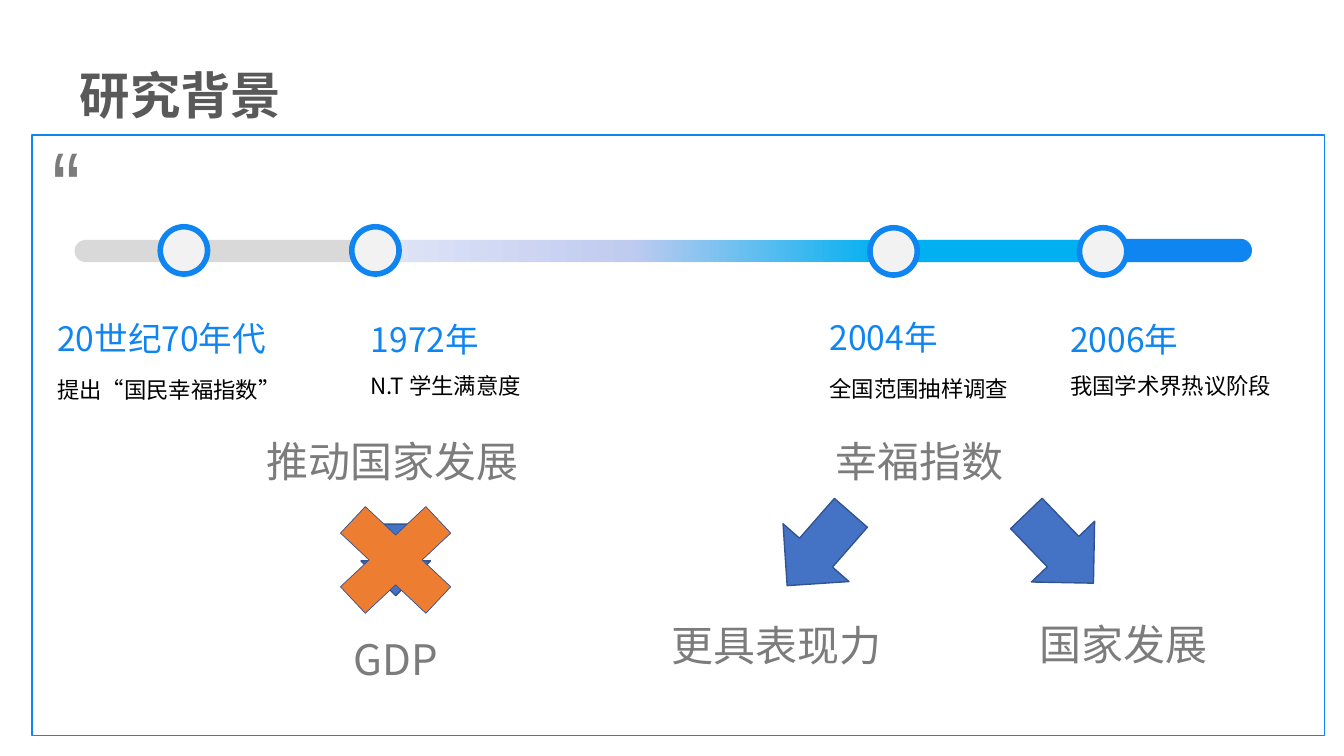
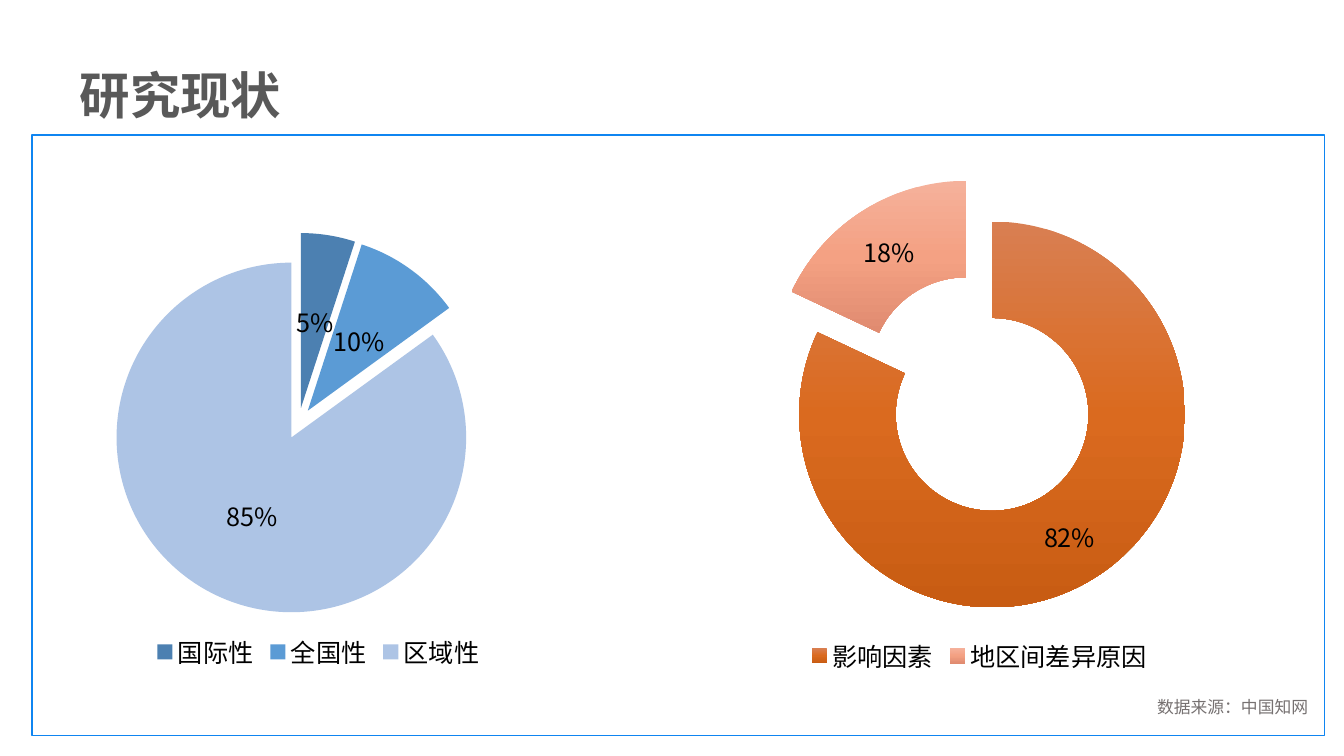
"""Build two slides on research background and research status."""
from copy import deepcopy
from dataclasses import dataclass
from typing import Any, NamedTuple

from lxml.etree import SubElement
from pptx import Presentation
from pptx.chart.data import CategoryChartData
from pptx.dml.color import RGBColor
from pptx.enum.chart import XL_CHART_TYPE as Chart
from pptx.enum.chart import XL_LABEL_POSITION as LabelPosition
from pptx.enum.chart import XL_LEGEND_POSITION as LegendPosition
from pptx.enum.shapes import MSO_SHAPE as Preset
from pptx.enum.text import MSO_ANCHOR as Anchor
from pptx.enum.text import MSO_AUTO_SIZE as AutoSize
from pptx.enum.text import PP_ALIGN as Align
from pptx.oxml.ns import qn
from pptx.util import Pt


@dataclass(frozen=True)
class Theme:
    font: str = "Noto Sans CJK SC"
    quote_font: str = "Arial Narrow"
    accent: str = "0F85F1"
    title: str = "595959"
    muted: str = "7C7C7C"
    source: str = "767171"
    ink: str = "000000"
    track: str = "D9D9D9"
    cyan: str = "00B0F0"
    dot: str = "F2F2F2"
    arrow: str = "4472C4"
    cross: str = "ED7D31"
    edge: str = "325491"
    fade: tuple = ("E0E5F7", "C0CBF0", "00B0F0")
    blues: tuple = ("4C80B1", "5B9BD5", "ADC4E5")
    oranges: tuple = (("D97F52", "DA6A1F", "C85C13"),
                      ("F5B19B", "F4A183", "E08B70"))
    quote_size: float = 74
    title_size: float = 36
    idea_size: float = 30
    year_size: float = 24
    chart_size: float = 18
    detail_size: float = 16
    source_size: float = 12


THEME = Theme()


class Area(NamedTuple):
    left: float
    top: float
    width: float
    height: float


class Span(NamedTuple):
    text: str
    size: float
    color: str
    font: str = THEME.font
    bold: bool = False
    line_spacing: float = 1.0
    space_before: float = 0


class Bar(NamedTuple):
    area: Area
    fill: Any


class Milestone(NamedTuple):
    left: float
    top: float
    width: float
    year: str
    detail: str
    gap: float = 0


class Idea(NamedTuple):
    text: str
    left: float
    top: float
    width: float


class Figure(NamedTuple):
    preset: Any
    area: Area
    fill: str
    weight: float
    rotation: float = 0


class Round(NamedTuple):
    kind: Any
    area: Area
    shares: dict
    fills: tuple
    explosion: int
    labels: dict


FRAME = Area(23, 96.5, 923, 429)
TITLE = Area(53.3, 22.3, 364.3, 61.9)
QUOTE = Area(33.8, 85, 93.6, 93.6)
SOURCE = Area(819.4, 493.9, 123.8, 21.6)
DOT = 33.8
DOTS = ((114.5, 162), (251.3, 162), (621.4, 162.7), (771.1, 162.7))
BARS = (
    Bar(Area(53.3, 171.4, 840.2, 15.8), THEME.track),
    Bar(Area(648, 171.4, 132.5, 15.8), THEME.cyan),
    Bar(Area(268.6, 171.4, 362.2, 15.8), THEME.fade),
    Bar(Area(794.9, 170.6, 99.4, 16.6), THEME.accent),
)
MILESTONES = (
    Milestone(33.8, 208.8, 234.7, "20世纪70年代", "提出“国民幸福指数”", 3.8),
    Milestone(257.8, 209.5, 234.7, "1972年", "N.T 学生满意度"),
    Milestone(757.4, 209.5, 177.1, "2006年", "我国学术界热议阶段"),
    Milestone(585.4, 208.1, 234.7, "2004年", "全国范围抽样调查", 3.8),
)
IDEAS = (
    Idea("推动国家发展", 183.6, 307.4, 198),
    Idea("GDP", 245.5, 448.6, 143.3),
    Idea("幸福指数", 589.7, 307.4, 141.8),
    Idea("更具表现力", 472.3, 439.2, 237.6),
    Idea("国家发展", 735.8, 438.5, 141.8),
)
FIGURES = (
    Figure(Preset.DOWN_ARROW, Area(257.8, 374.4, 49.7, 51.1), THEME.arrow, 1),
    Figure(Preset.MATH_MULTIPLY, Area(223.9, 344.9, 117.4, 110.2), THEME.cross, 0.5),
    Figure(Preset.DOWN_ARROW, Area(553.7, 357.8, 62.6, 69.1), THEME.arrow, 1, 41.2),
    Figure(Preset.DOWN_ARROW, Area(725.8, 357.1, 62.6, 69.1), THEME.arrow, 1, 316.1),
)
SCOPE = Round(
    Chart.PIE, Area(37.4, 160.6, 380.2, 321.8),
    {"国际性": 5, "全国性": 10, "区域性": 85}, THEME.blues, 9,
    {"show_percentage": True, "show_value": False, "position": LabelPosition.CENTER})
TOPIC = Round(
    Chart.DOUGHNUT, Area(468.7, 116.6, 461.5, 368.6),
    {"影响因素": 0.82, "地区间差异原因": 0.18}, THEME.oranges, 25,
    {"show_percentage": False, "show_value": True})
SCOPE_PLOT = {"x": 0.014, "y": 0.018, "w": 0.897, "h": 0.846}


def assign(target: Any, values: dict) -> None:
    """Set each named attribute of the target."""
    for name, value in values.items():
        setattr(target, name, value)


def points(area: Area) -> list:
    """Turn an area into lengths."""
    return [Pt(length) for length in area]


def paint(fill: Any, owner: Any, color: Any, angle: float = 0) -> None:
    """Fill with one colour, or with an even gradient of three."""
    if isinstance(color, str):
        fill.solid()
        fill.fore_color.rgb = RGBColor.from_string(color)
        return
    fill.gradient()
    fill.gradient_angle = angle
    stops = list(owner.iter(qn("a:gsLst")))[-1]
    stops.insert(1, deepcopy(stops[0]))
    for index, (stop, shade) in enumerate(zip(fill.gradient_stops, color)):
        stop.color.rgb = RGBColor.from_string(shade)
        stop.position = index / (len(color) - 1)


def draw(page: Any, preset: Any, area: Area, fill: Any = None,
         edge: str = "", weight: float = 1) -> Any:
    """Add a preset shape with an optional fill and outline."""
    shape = page.shapes.add_shape(preset, *points(area))
    shape.shadow.inherit = False
    if fill:
        paint(shape.fill, shape.element, fill)
    else:
        shape.fill.background()
    if edge:
        shape.line.color.rgb = RGBColor.from_string(edge)
        shape.line.width = Pt(weight)
    else:
        shape.line.fill.background()
    return shape


def write(box: Any, spans: list, inset: tuple = (7.2, 3.6), wrap: bool = True) -> None:
    """Write one paragraph for each span."""
    frame = box.text_frame
    across, down = (Pt(length) for length in inset)
    assign(frame, {
        "margin_left": across, "margin_right": across,
        "margin_top": down, "margin_bottom": down, "word_wrap": wrap,
        "auto_size": AutoSize.NONE, "vertical_anchor": Anchor.TOP})
    for index, span in enumerate(spans):
        para = frame.add_paragraph() if index else frame.paragraphs[0]
        assign(para, {"alignment": Align.LEFT, "line_spacing": span.line_spacing,
                      "space_before": Pt(span.space_before)})
        run = para.add_run()
        run.text = span.text
        assign(run.font, {"name": span.font, "size": Pt(span.size), "bold": span.bold})
        run.font.color.rgb = RGBColor.from_string(span.color)
        SubElement(run.font._element, qn("a:ea"), typeface=span.font)


def label(page: Any, area: Area, spans: list, **options: Any) -> None:
    """Add a text box."""
    write(page.shapes.add_textbox(*points(area)), spans, **options)


def add_page(deck: Any, title: str) -> Any:
    """Add a slide with the shared title and frame."""
    page = deck.slides.add_slide(deck.slide_layouts[5])
    box = page.shapes.title
    assign(box, dict(zip(("left", "top", "width", "height"), points(TITLE))))
    write(box, [Span(title, THEME.title_size, THEME.title, bold=True,
                     line_spacing=1.5)], inset=(3.6, 1.8))
    draw(page, Preset.RECTANGLE, FRAME, edge=THEME.accent)
    return page


def add_round(page: Any, data: Round) -> Any:
    """Add an exploded pie or doughnut chart."""
    table = CategoryChartData()
    table.categories = list(data.shares)
    table.add_series("Series 1", list(data.shares.values()))
    chart = page.shapes.add_chart(data.kind, *points(data.area), table).chart
    assign(chart, {"has_title": False, "has_legend": True})
    assign(chart.legend, {"position": LegendPosition.BOTTOM, "include_in_layout": False})
    assign(chart.font, {"name": THEME.font, "size": Pt(THEME.chart_size)})
    chart.font.color.rgb = RGBColor.from_string(THEME.ink)
    SubElement(chart.font._element, qn("a:ea"), typeface=THEME.font)
    plot = chart.plots[0]
    assign(plot, {"vary_by_categories": True, "has_data_labels": True})
    assign(plot.data_labels, {"number_format": "0%", "number_format_is_linked": False,
                              **data.labels})
    series = plot.series[0]
    node = series._element
    for index, color in enumerate(data.fills):
        look = series.points[index].format
        paint(look.fill, node, color, 270)
        look.line.fill.background()
    for old in node.findall(qn("c:explosion")):
        node.remove(old)
    explosion = SubElement(node, qn("c:explosion"), val=str(data.explosion))
    node.find(qn("c:dPt")).addprevious(explosion)
    return chart


def place_plot(chart: Any, place: dict) -> None:
    """Fix the inner plot area as fractions of the chart."""
    area = chart.plots[0]._element.getparent()
    for old in area.findall(qn("c:layout")):
        area.remove(old)
    layout = SubElement(area, qn("c:layout"))
    area.insert(0, layout)
    manual = SubElement(layout, qn("c:manualLayout"))
    settings = {"layoutTarget": "inner", "xMode": "edge", "yMode": "edge", **place}
    for name, value in settings.items():
        SubElement(manual, qn(f"c:{name}"), val=str(value))


def add_background(deck: Any) -> None:
    """Build the timeline slide."""
    page = add_page(deck, "研究背景")
    label(page, QUOTE, [Span("“", THEME.quote_size, THEME.muted, THEME.quote_font)],
          inset=(3.6, 1.8))
    for bar in BARS:
        draw(page, Preset.ROUNDED_RECTANGLE, bar.area, bar.fill).adjustments[0] = 0.5
    for left, top in DOTS:
        draw(page, Preset.OVAL, Area(left, top, DOT, DOT), THEME.dot, THEME.accent, 4)
    for stone in MILESTONES:
        label(page, Area(stone.left, stone.top, stone.width, 82), [
            Span(stone.year, THEME.year_size, THEME.accent, line_spacing=1.5),
            Span(stone.detail, THEME.detail_size, THEME.ink, line_spacing=1.5,
                 space_before=stone.gap)])
    for idea in IDEAS:
        label(page, Area(idea.left, idea.top, idea.width, 43.9),
              [Span(idea.text, THEME.idea_size, THEME.muted)])
    for figure in FIGURES:
        shape = draw(page, figure.preset, figure.area, figure.fill, THEME.edge,
                     figure.weight)
        shape.rotation = figure.rotation


def add_status(deck: Any) -> None:
    """Build the chart slide."""
    page = add_page(deck, "研究现状")
    place_plot(add_round(page, SCOPE), SCOPE_PLOT)
    add_round(page, TOPIC)
    label(page, SOURCE, [Span("数据来源：中国知网", THEME.source_size, THEME.source)],
          wrap=False)


def main() -> None:
    """Build and save the deck."""
    deck = Presentation()
    assign(deck, {"slide_width": Pt(960), "slide_height": Pt(540)})
    add_background(deck)
    add_status(deck)
    deck.save("out.pptx")


if __name__ == "__main__":
    main()
